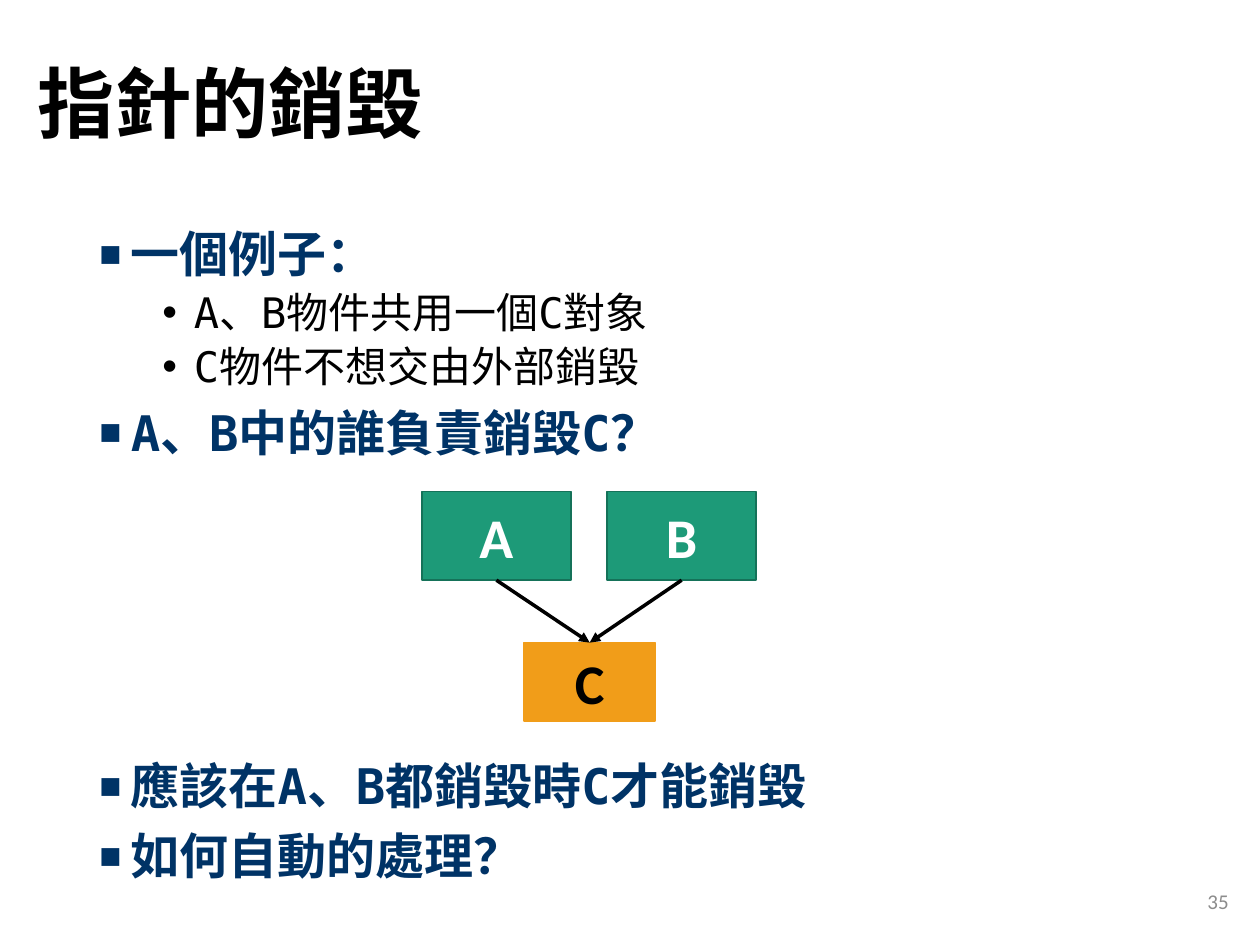
import pptx
import pptx.util
import pptx.dml.color
import pptx.enum.shapes
import pptx.enum.text
import pptx.oxml.ns
from lxml import etree

Inches, Pt = pptx.util.Inches, pptx.util.Pt
PP_ALIGN, ANCHOR = pptx.enum.text.PP_ALIGN, pptx.enum.text.MSO_ANCHOR
qn = pptx.oxml.ns.qn

prs = pptx.Presentation()
prs.slide_width, prs.slide_height = Inches(10), Inches(7.5)
W, H = prs.slide_width, prs.slide_height
slide = prs.slides.add_slide(prs.slide_layouts[6])


def rgb(value):
    return pptx.dml.color.RGBColor.from_string(value)


def set_font(paragraph, color, **values):
    paragraph.font.color.rgb = rgb(color)
    for key, value in values.items():
        setattr(paragraph.font, key, value)


# Title and page number: share of the slide for left, top, width, height
for text, place, align, color, look in [
    ("指針的銷毀", (0.02, 0.017, 0.862, 0.193), PP_ALIGN.LEFT, "000000",
     {"size": Pt(44), "name": "Noto Sans CJK SC", "bold": True}),
    ("35", (0.76, 0.929, 0.225, 0.053), PP_ALIGN.RIGHT, "8C8C8C",
     {"size": Pt(12), "name": "Calibri"}),
]:
    left, top, width, height = place
    frame = slide.shapes.add_textbox(
        int(W * left), int(H * top), int(W * width), int(H * height)).text_frame
    frame.word_wrap = True
    frame.vertical_anchor = ANCHOR.MIDDLE
    line = frame.paragraphs[0]
    line.text, line.alignment, line.line_spacing = text, align, 0.9
    set_font(line, color, **look)

# Outline above and below the diagram
levels = [
    {"margin": 0.25, "before": 10, "bullet": "■", "share": 75000,
     "color": "003366", "size": 28, "bold": True},
    {"margin": 0.75, "before": 5, "bullet": "•", "share": 100000,
     "color": "000000", "size": 24, "bold": False},
]
outline = [
    (0.237, 0.27, [(0, "一個例子："), (1, "A、B物件共用一個C對象"),
                   (1, "C物件不想交由外部銷毀"), (0, "A、B中的誰負責銷毀C？")]),
    (0.8, 0.15, [(0, "應該在A、B都銷毀時C才能銷毀"), (0, "如何自動的處理？")]),
]
for top, height, points in outline:
    frame = slide.shapes.add_textbox(
        int(W * 0.069), int(H * top), int(W * 0.88), int(H * height)).text_frame
    frame.word_wrap = True
    for index, (level, text) in enumerate(points):
        style = levels[level]
        point = frame.add_paragraph() if index else frame.paragraphs[0]
        point.text, point.level, point.line_spacing = text, level, 0.9
        if index:
            point.space_before = Pt(style["before"])
        props = point._p.get_or_add_pPr()
        props.set("marL", str(Inches(style["margin"])))
        props.set("indent", str(Inches(-0.25)))
        etree.SubElement(props, qn("a:buSzPct"), val=str(style["share"]))
        etree.SubElement(props, qn("a:buFont"), typeface="Arial")
        etree.SubElement(props, qn("a:buChar"), char=style["bullet"])
        set_font(point, style["color"], size=Pt(style["size"]),
                 bold=style["bold"], name="DejaVu Sans Mono")

# Diagram: A and B both point to C
objects = {}
for label, left, top, width, height, fill, border, color in [
    ("A", 0.335, 0.52, 0.118, 0.094, "1D9A78", "157259", "FFFFFF"),
    ("B", 0.482, 0.52, 0.118, 0.094, "1D9A78", "157259", "FFFFFF"),
    ("C", 0.416, 0.68, 0.104, 0.083, "F19D19", "F19D19", "000000"),
]:
    box = slide.shapes.add_shape(
        pptx.enum.shapes.MSO_SHAPE.RECTANGLE,
        int(W * left), int(H * top), int(W * width), int(H * height))
    box.shadow.inherit = False
    box.fill.solid()
    box.fill.fore_color.rgb = rgb(fill)
    box.line.color.rgb = rgb(border)
    box.line.width = Pt(1)
    box.text_frame.vertical_anchor = ANCHOR.MIDDLE
    name = box.text_frame.paragraphs[0]
    name.text, name.alignment = label, PP_ALIGN.CENTER
    set_font(name, color, size=Pt(32), name="Calibri", bold=True)
    objects[label] = box

for owner in "AB":
    arrow = slide.shapes.add_connector(
        pptx.enum.shapes.MSO_CONNECTOR.STRAIGHT, 0, 0, 0, 0)
    arrow.begin_connect(objects[owner], 2)
    arrow.end_connect(objects["C"], 0)
    arrow.line.color.rgb = rgb("000000")
    arrow.line.width = Pt(2)
    etree.SubElement(arrow.line._get_or_add_ln(), qn("a:tailEnd"), type="triangle")
    etree.SubElement(arrow._element.spPr, qn("a:effectLst"))

prs.save("out.pptx")
